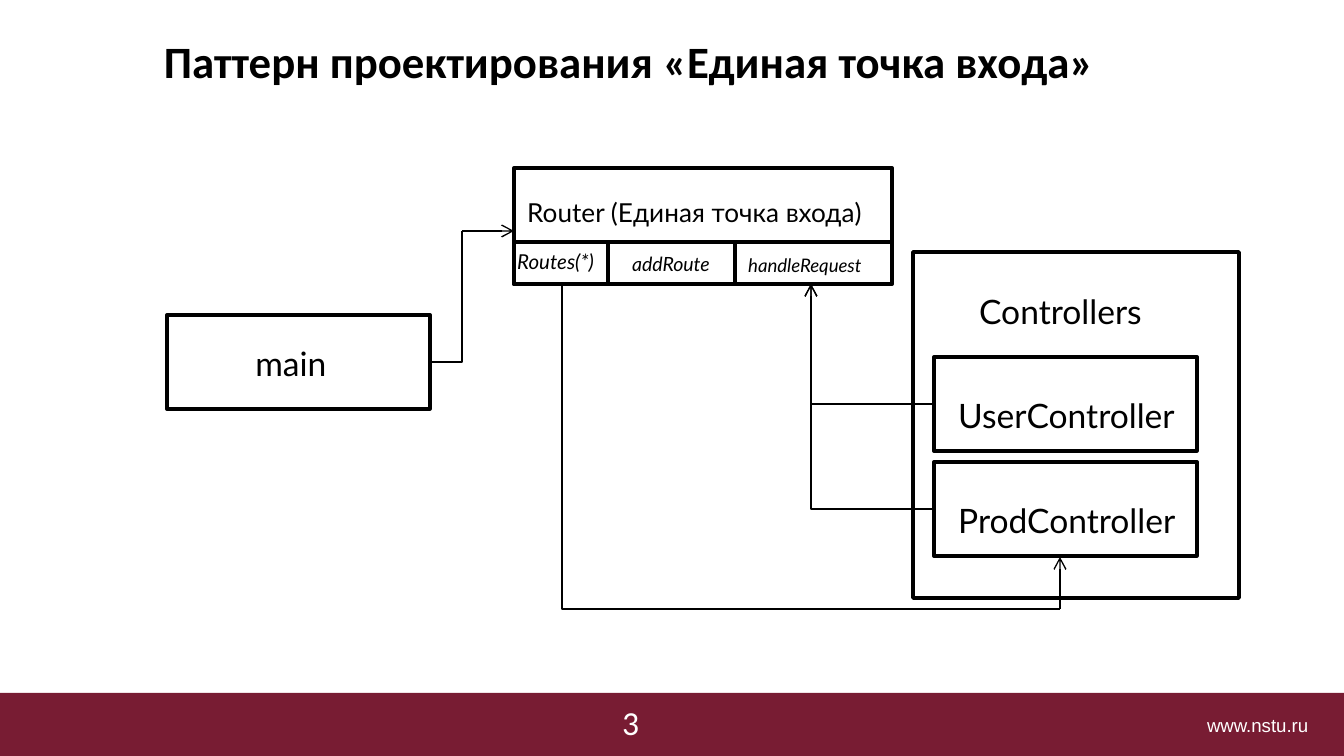
from pptx import Presentation
from pptx.dml.color import RGBColor
from pptx.enum.shapes import MSO_CONNECTOR, MSO_SHAPE
from pptx.enum.text import MSO_ANCHOR, MSO_AUTO_SIZE, PP_ALIGN
from pptx.oxml.ns import qn
from pptx.util import Emu, Pt
from lxml import etree

RECT = MSO_SHAPE.RECTANGLE
ELBOW, LINE = MSO_CONNECTOR.ELBOW, MSO_CONNECTOR.STRAIGHT
TOP, JUST, GROW = MSO_ANCHOR.TOP, PP_ALIGN.JUSTIFY, MSO_AUTO_SIZE.SHAPE_TO_FIT_TEXT
SCALE = 914400 / 134.4
BLACK, WHITE, WINE = "000000", "FFFFFF", "781C33"

# Content: places are left, top, width, height in px
TITLE = "Паттерн проектирования «Единая точка входа»"
SITE, PAGE = "www.nstu.ru", "3"

BOXES = [
    (514, 168, 378, 116),   # router
    (514, 242, 94, 42),     # its routes
    (608, 242, 127, 42),    # its addRoute
    (735, 242, 157, 42),    # its handleRequest
    (167, 315, 263, 94),    # main
    (913, 252, 326, 346),   # controllers
    (934, 357, 263, 94),    # user controller
    (934, 462, 263, 94),    # product controller
]
LABELS = [
    ("Router (Единая точка входа)", (514, 190, 374, 45), 14, False),
    ("Routes(*)", (504, 242, 114, 39), 11, True),
    ("addRoute", (619, 245, 117, 39), 10.5, True),
    ("handleRequest", (735, 247, 153, 36), 10, True),
    ("main", (242, 336, 101, 54), 18, False),
    ("Controllers", (966, 284, 191, 54), 18, False),
    ("UserController", (945, 388, 246, 54), 18, False),
    ("ProdController", (945, 493, 246, 54), 18, False),
]
# Links: kind, from, to, arrowhead; an elbow runs across first, then up
LINKS = [
    (ELBOW, (934, 404), (811, 284), True),
    (ELBOW, (934, 509), (811, 284), True),
    (ELBOW, (1060, 609), (562, 284), False),
    (LINE, (1060, 609), (1060, 557), True),
    (ELBOW, (430, 362), (462, 231), False),
    (LINE, (462, 231), (514, 231), True),
]


def px(*vals):
    return [Emu(round(v * SCALE)) for v in vals]


def color(code):
    return RGBColor.from_string(code)


def write(frame, text, size, font="Lato", ink=BLACK, bold=False, italic=False,
          wrap=False, inset=None):
    frame.word_wrap = wrap
    frame.auto_size = GROW
    if inset is not None:
        (frame.margin_left, frame.margin_top,
         frame.margin_right, frame.margin_bottom) = px(*inset)
    para = frame.paragraphs[0]
    run = para.add_run()
    run.text = text
    run.font.name, run.font.size = font, Pt(size)
    run.font.bold, run.font.italic = bold, italic
    run.font.color.rgb = color(ink)
    return para


def box(place, fill=None):
    shape = slide.shapes.add_shape(RECT, *px(*place))
    shape.shadow.inherit = False
    if fill:
        shape.fill.solid()
        shape.fill.fore_color.rgb = color(fill)
        shape.line.fill.background()
    else:
        shape.fill.background()
        shape.line.color.rgb = color(BLACK)
        shape.line.width = Pt(2)


def label(text, place, size, **form):
    write(slide.shapes.add_textbox(*px(*place)).text_frame, text, size, **form)


def link(kind, start, end, arrow):
    wire = slide.shapes.add_connector(kind, *px(*start, *end))
    wire.line.color.rgb = color(BLACK)
    wire.line.width = Pt(0.75)
    props = wire._element.spPr
    if kind == ELBOW:
        props.find(qn("a:prstGeom")).set("prst", "bentConnector2")
    if arrow:
        etree.SubElement(props.find(qn("a:ln")), qn("a:tailEnd"), type="arrow")
    etree.SubElement(props, qn("a:effectLst"))


deck = Presentation()
deck.slide_width, deck.slide_height = px(1344, 756)
slide = deck.slides.add_slide(deck.slide_layouts[5])

# Title
title = slide.shapes.title
title.left, title.top, title.width, title.height = px(164, 0, 1122, 95)
title.text_frame.vertical_anchor = TOP
para = write(title.text_frame, TITLE, 24, font="Calibri", bold=True, wrap=True,
             inset=(0, 7, 13, 7))
para.alignment, para.line_spacing, para.space_after = JUST, 1.5, Pt(8)

# Footer
box((0, 693, 1344, 63), fill=WINE)
label(SITE, (1207, 714, 126, 22), 10, font="Arial", ink=WHITE, inset=(0, 0, 0, 0))
label(PAGE, (609, 695, 40, 54), 18, font="Calibri", ink=WHITE, wrap=True)

# Diagram
for place in BOXES:
    box(place)
for text, place, size, slant in LABELS:
    label(text, place, size, italic=slant)
for item in LINKS:
    link(*item)

deck.save("out.pptx")
